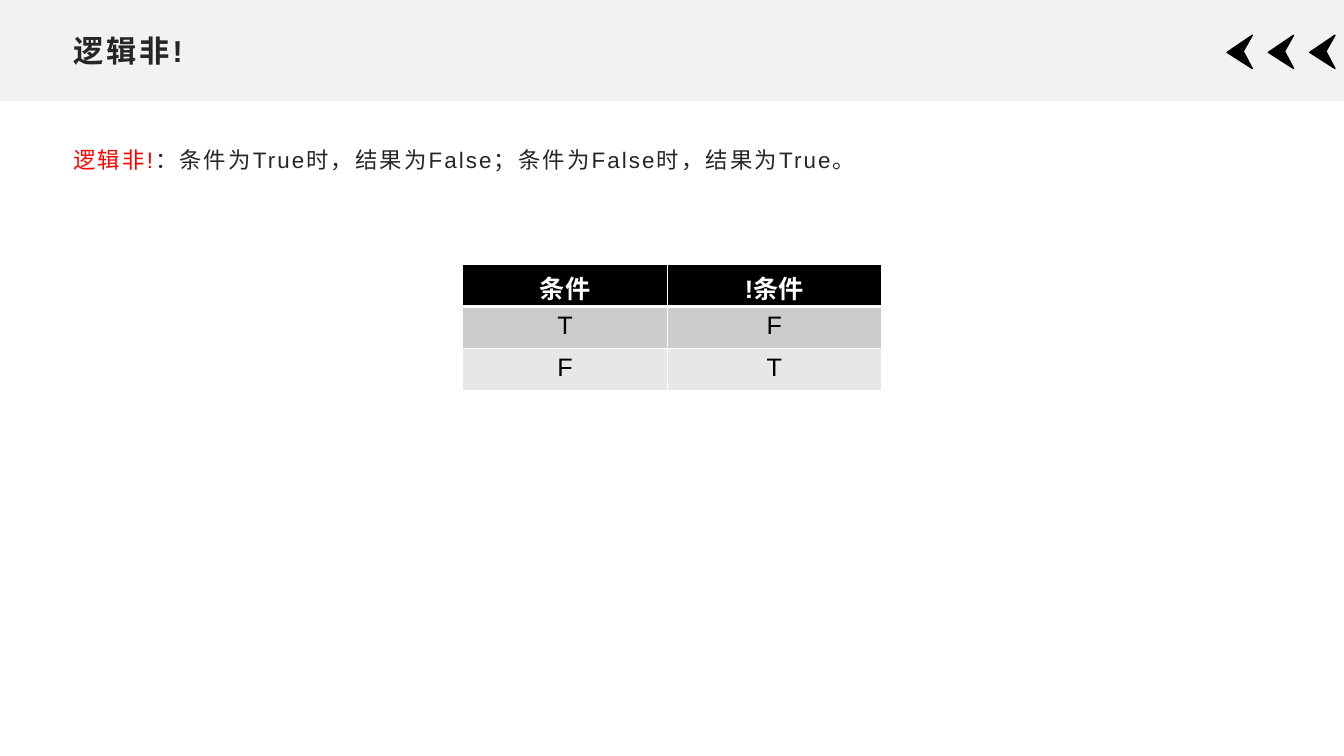
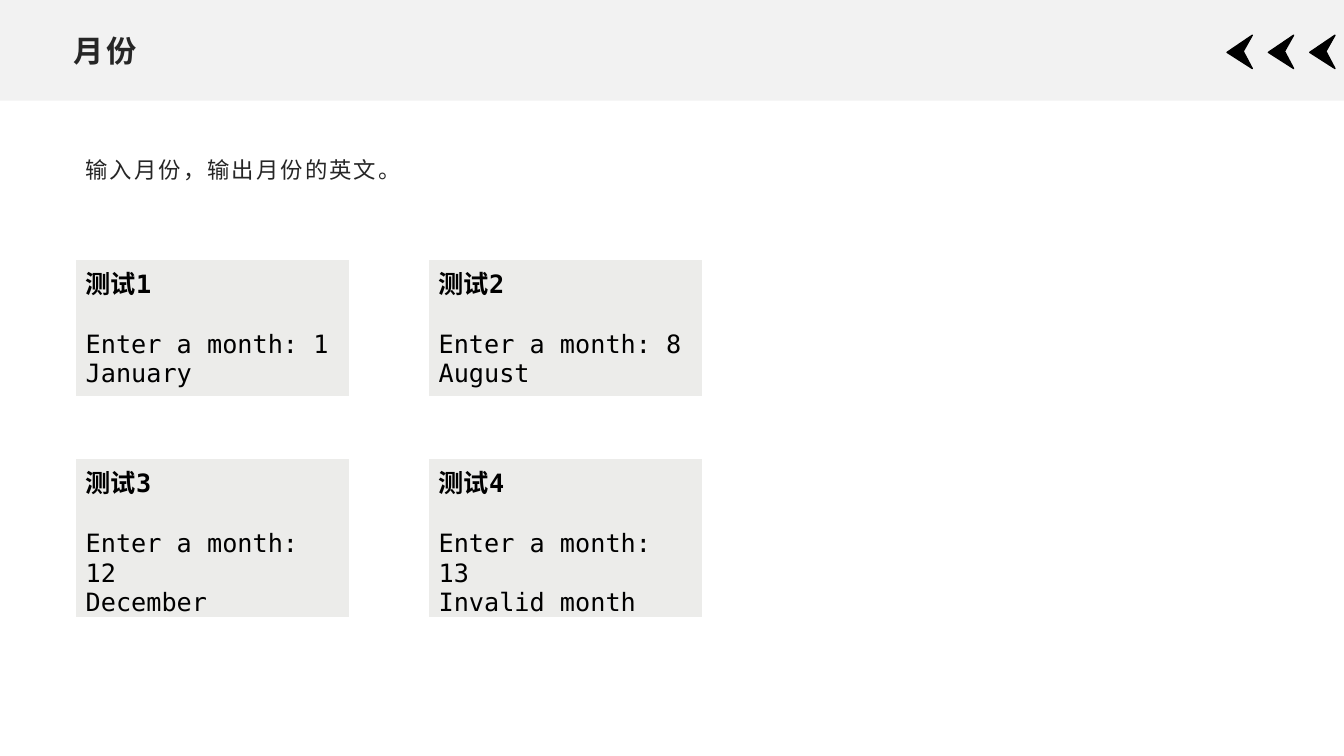
from lxml import etree
from pptx import Presentation
from pptx.dml.color import RGBColor
from pptx.enum import shapes, text
from pptx.oxml import ns
from pptx.util import Inches, Pt

BLACK = RGBColor(0x00, 0x00, 0x00)
WHITE = RGBColor(0xFF, 0xFF, 0xFF)
RED = RGBColor(0xFF, 0x00, 0x00)
INK = RGBColor(0x26, 0x26, 0x26)
BAND = RGBColor(0xF2, 0xF2, 0xF2)
ROW_FILLS = [BLACK, RGBColor(0xCC, 0xCC, 0xCC), RGBColor(0xE7, 0xE7, 0xE7)]
CARD_FILL = RGBColor(0xEC, 0xEC, 0xEA)
SANS = "Arial"
MONO = "DejaVu Sans Mono"
PAGE_WIDTH = 13.33
CHEVRON = [(0.25, 0.33), (0, 0.17), (0.25, 0), (0.16, 0.16)]


def style_para(para, size, color, name=SANS, bold=False, spacing=0):
    """Set the font of a paragraph, with letter spacing in points."""
    font = para.font
    font.name, font.size, font.bold = name, Pt(size), bold
    font.color.rgb = color
    if spacing:
        properties = para._p.get_or_add_pPr().get_or_add_defRPr()
        properties.set("spc", str(int(spacing * 100)))


def add_text(page, left, top, width, height, anchor):
    """Add a wrapping text box and return its first paragraph."""
    box = page.shapes.add_textbox(
        Inches(left), Inches(top), Inches(width), Inches(height))
    box.text_frame.word_wrap = True
    box.text_frame.vertical_anchor = anchor
    return box.text_frame.paragraphs[0]


def add_chevron(page, left, top):
    """Draw one notched black arrow that points left."""
    points = [(Inches(left + x), Inches(top + y)) for x, y in CHEVRON]
    builder = page.shapes.build_freeform(*points[0])
    builder.add_line_segments(points[1:], close=True)
    chevron = builder.convert_to_shape()
    chevron.shadow.inherit = False
    chevron.fill.solid()
    chevron.fill.fore_color.rgb = BLACK
    chevron.line.color.rgb = BLACK
    chevron.line.width = Pt(1)


def add_page(deck, title):
    """Add a page with the header band, chevrons and title."""
    page = deck.slides.add_slide(deck.slide_layouts[6])
    band = page.shapes.add_shape(
        shapes.MSO_SHAPE.RECTANGLE, 0, 0, Inches(PAGE_WIDTH), Inches(1))
    band.shadow.inherit = False
    band.fill.solid()
    band.fill.fore_color.rgb = BAND
    band.line.fill.background()
    for index in range(3):
        add_chevron(page, 12.17 + 0.41 * index, 0.35)
    para = add_text(page, 0.63, 0.26, 12.07, 0.48, text.MSO_ANCHOR.MIDDLE)
    para.text = title
    style_para(para, 21.6, INK, bold=True, spacing=2)
    return page


def add_body(page, left, top, width, height, content, keyword=""):
    """Add the body paragraph, opened by a red keyword if there is one."""
    para = add_text(page, left, top, width, height, text.MSO_ANCHOR.TOP)
    style_para(para, 16, INK, spacing=1.5)
    para.line_spacing = 1.3
    para.space_after = Pt(10)
    if keyword:
        span = para.add_run()
        span.text = keyword
        span.font.color.rgb = RED
    para.add_run().text = content


def add_table(page, left, top, widths, heights):
    """Add a table without banding and return it."""
    table = page.shapes.add_table(
        len(heights), len(widths), Inches(left), Inches(top),
        Inches(sum(widths)), Inches(sum(heights))).table
    table.first_row = table.horz_banding = False
    for column, width in zip(table.columns, widths):
        column.width = Inches(width)
    for row, height in zip(table.rows, heights):
        row.height = Inches(height)
    return table


def style_cell(cell, fill, top=1, bottom=1):
    """Give a cell white borders and a solid fill."""
    properties = cell._tc.get_or_add_tcPr()
    for side, width in (("L", 1), ("R", 1), ("T", top), ("B", bottom)):
        line = etree.SubElement(
            properties, ns.qn(f"a:ln{side}"), w=str(Pt(width)))
        solid = etree.SubElement(line, ns.qn("a:solidFill"))
        etree.SubElement(solid, ns.qn("a:srgbClr"), val=str(WHITE))
    cell.fill.solid()
    cell.fill.fore_color.rgb = fill


def add_truth_table(page, rows):
    """Add the truth table, with its header in the first row."""
    table = add_table(page, 4.59, 2.62, [2.03, 2.12], [0.42] * len(rows))
    for index, (values, fill) in enumerate(zip(rows, ROW_FILLS)):
        header = index == 0
        for column, value in enumerate(values):
            cell = table.cell(index, column)
            style_cell(cell, fill, top=3 if index == 1 else 1,
                       bottom=3 if header else 1)
            para = cell.text_frame.paragraphs[0]
            para.text = value
            para.alignment = text.PP_ALIGN.CENTER
            style_para(para, 18, WHITE if header else BLACK, bold=header)


def add_test_card(page, left, top, lines):
    """Add a sample run: a bold heading above console lines."""
    cell = add_table(page, left, top, [2.72], [1.38]).cell(0, 0)
    style_cell(cell, CARD_FILL, bottom=3)
    cell.text_frame.text = "\n".join(lines)
    paras = cell.text_frame.paragraphs
    for index, para in enumerate(paras):
        style_para(para, 18, BLACK, MONO, bold=index == 0)
    paras[0].space_after = Pt(21)


def main():
    """Build both pages and save the deck."""
    deck = Presentation()
    deck.slide_width, deck.slide_height = Inches(PAGE_WIDTH), Inches(7.5)

    page = add_page(deck, "逻辑非!")
    add_body(page, 0.63, 1.32, 7.99, 0.61,
             "：条件为True时，结果为False；条件为False时，结果为True。", "逻辑非!")
    add_truth_table(page, [("条件", "!条件"), ("T", "F"), ("F", "T")])

    page = add_page(deck, "月份")
    add_body(page, 0.75, 1.42, 3.5, 0.65, "输入月份，输出月份的英文。")
    tests = [(1, "January"), (8, "August"),
             (12, "December"), (13, "Invalid month")]
    for index, (month, output) in enumerate(tests):
        row, column = divmod(index, 2)
        add_test_card(page, 0.75 + 3.5 * column, 2.57 + 1.98 * row,
                      [f"测试{index + 1}", f"Enter a month: {month}", output])

    deck.save("out.pptx")


if __name__ == "__main__":
    main()
